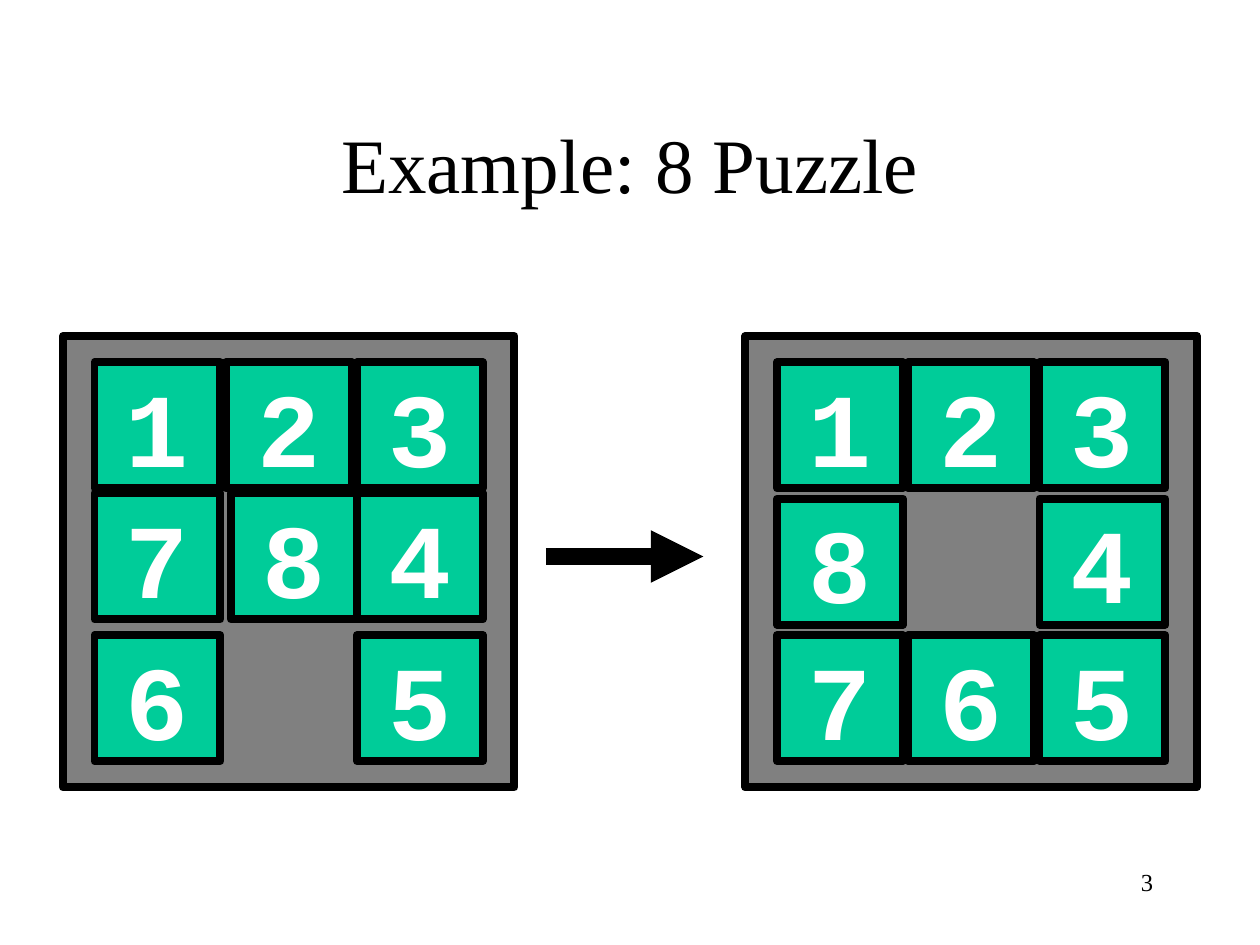
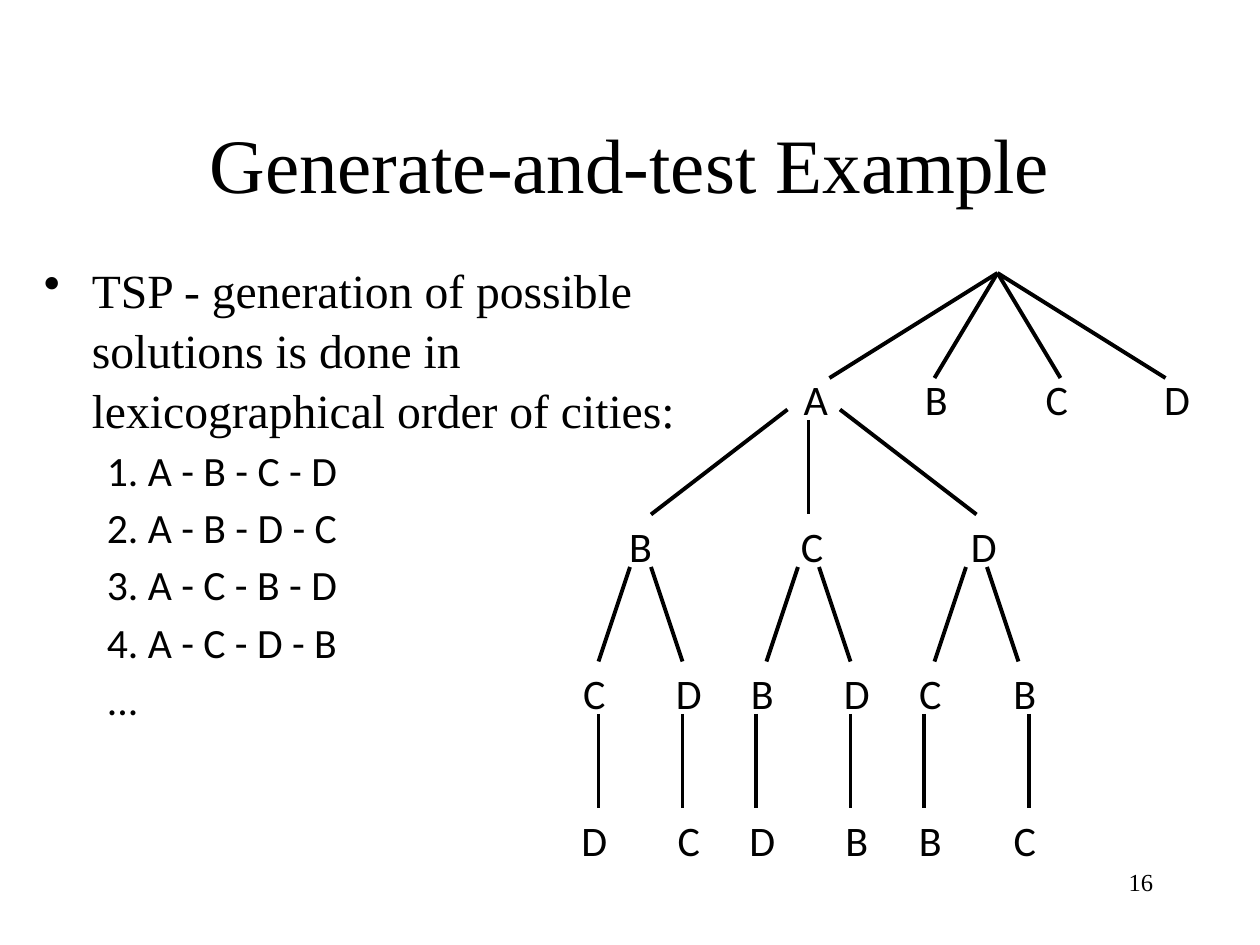
from itertools import product

from lxml.etree import SubElement
from pptx import Presentation
from pptx.dml.color import RGBColor
from pptx.enum.shapes import MSO_CONNECTOR, MSO_SHAPE
from pptx.enum.text import MSO_ANCHOR, PP_ALIGN
from pptx.oxml.ns import qn
from pptx.util import Emu, Inches, Pt

BLACK = RGBColor(0x00, 0x00, 0x00)
WHITE = RGBColor(0xFF, 0xFF, 0xFF)
GRAY = RGBColor(0x80, 0x80, 0x80)
GREEN = RGBColor(0x00, 0xCC, 0x99)
SERIF, SANS, MONO = "Times New Roman", "Calibri", "Courier New"
COLUMNS = 120
TILE_SIZE = 12
BOARD_SIZE = 43
TILE_COLUMNS = (9, 21.5, 34)


def write(para, text, font=SERIF, size=24, color=BLACK, bold=False,
          align=PP_ALIGN.LEFT, before=0, spacing=1.0, margin=0, hanging=0, bullet=None):
    """Fill a paragraph with text in the given format."""
    span = para.add_run()
    span.text = text
    span.font.name, span.font.size, span.font.bold = font, Pt(size), bold
    span.font.color.rgb = color
    para.alignment, para.space_before, para.line_spacing = align, Pt(before), spacing
    properties = para._p.get_or_add_pPr()
    properties.set("marL", str(int(margin)))
    properties.set("indent", str(int(-hanging)))
    if bullet:
        SubElement(properties, qn("a:buChar")).set("char", bullet)


class Slides:
    """Draw on the current slide in units of a grid of 120 columns by 90 rows."""

    def __init__(self, deck):
        self.deck = deck
        self.unit = deck.slide_width / COLUMNS
        self.page = None

    def cells(self, *counts):
        return [Emu(round(count * self.unit)) for count in counts]

    def start(self, title, number):
        self.page = self.deck.slides.add_slide(self.deck.slide_layouts[6])
        self.text(title, 9, 8, 102, 15, size=44, align=PP_ALIGN.CENTER,
                  anchor=MSO_ANCHOR.MIDDLE)
        self.text(str(number), 86, 82, 25, 6, size=14, align=PP_ALIGN.RIGHT)

    def frame(self, left, top, width, height, anchor=MSO_ANCHOR.TOP, wrap=True):
        box = self.page.shapes.add_textbox(*self.cells(left, top, width, height))
        frame = box.text_frame
        frame.word_wrap, frame.vertical_anchor = wrap, anchor
        return frame

    def text(self, text, left, top, width, height, anchor=MSO_ANCHOR.TOP, wrap=True, **style):
        frame = self.frame(left, top, width, height, anchor, wrap)
        write(frame.paragraphs[0], text, **style)

    def square(self, left, top, size, fill):
        shape = self.page.shapes.add_shape(
            MSO_SHAPE.RECTANGLE, *self.cells(left, top, size, size))
        shape.shadow.inherit = False
        shape.fill.solid()
        shape.fill.fore_color.rgb = fill
        shape.line.color.rgb, shape.line.width = BLACK, Pt(4.5)
        return shape

    def tile(self, digit, left, top):
        frame = self.square(left, top, TILE_SIZE, GREEN).text_frame
        frame.word_wrap, frame.vertical_anchor = False, MSO_ANCHOR.MIDDLE
        write(frame.paragraphs[0], digit, font=MONO, size=60, color=WHITE, bold=True,
              align=PP_ALIGN.CENTER)

    def board(self, left, rows, tops, nudges):
        self.square(left, 32, BOARD_SIZE, GRAY)
        for (row, top), (index, column) in product(zip(rows, tops), enumerate(TILE_COLUMNS)):
            digit = row[index]
            if digit != " ":
                self.tile(digit, left - 6 + column + nudges.get(digit, 0), top)

    def line(self, start, end, width=2.25, arrow=False):
        connector = self.page.shapes.add_connector(
            MSO_CONNECTOR.STRAIGHT, *self.cells(*start, *end))
        connector.line.color.rgb, connector.line.width = BLACK, Pt(width)
        properties = connector.element.spPr
        if arrow:
            SubElement(properties.find(qn("a:ln")), qn("a:tailEnd")).set("type", "triangle")
        SubElement(properties, qn("a:effectLst"))

    def nodes(self, letters, centers, top):
        for letter, center in zip(letters, centers):
            self.text(letter, center - 2.5, top, 5, 6, wrap=False, font=SANS,
                      align=PP_ALIGN.CENTER)


def draw_puzzle(slides):
    """Show the start and goal boards of the puzzle."""
    slides.start("Example: 8 Puzzle", 3)
    slides.board(6, ("123", "784", "6 5"), (34.5, 47, 60.5), {"8": 0.5})
    slides.line((52, 53), (67, 53), width=10, arrow=True)
    slides.board(71, ("123", "8 4", "765"), (34.5, 47.5, 60.5), {})


def draw_tours(slides):
    """List the first tours of the cities."""
    frame = slides.frame(3, 24, 63, 54)
    write(frame.paragraphs[0],
          "TSP - generation of possible solutions is done in lexicographical order of cities:",
          size=27.2, before=8, spacing=1.05, margin=Inches(0.38), hanging=Inches(0.38),
          bullet="•")
    for tour in ("1. A - B - C - D", "2. A - B - D - C", "3. A - C - B - D",
                 "4. A - C - D - B", "..."):
        write(frame.add_paragraph(), tour, font=SANS, size=23.8, before=7, spacing=0.9,
              margin=Inches(0.81), hanging=Inches(0.31))


def draw_tree(slides):
    """Draw the search tree of the tours that start in A."""
    pair_centers = [61 + 16 * index for index in range(3)]
    leaf_centers = [center + side for center in pair_centers for side in (-4.4, 4.6)]
    slides.nodes("ABCD", [77.7 + 11.47 * index for index in range(4)], 35)
    slides.nodes("BCD", [61 + 16.35 * index for index in range(3)], 49)
    slides.nodes("CDBDCB", leaf_centers, 63)
    slides.nodes("DCDBBC", leaf_centers, 77)
    for column in (79, 89, 101, 111):
        slides.line((95, 26), (column, 36))
    for start, end in (((75, 39), 62), ((77, 40), 77), ((80, 39), 93)):
        slides.line(start, (end, 49))
    for center, side in product(pair_centers, (-1, 1)):
        slides.line((center + side, 54), (center + 4 * side, 63))
    for column in (57, 65, 72, 81, 88, 98):
        slides.line((column, 68), (column, 77))


def main():
    """Build and save the deck."""
    deck = Presentation()
    deck.slide_width, deck.slide_height = Inches(10), Inches(7.5)
    slides = Slides(deck)
    draw_puzzle(slides)
    slides.start("Generate-and-test Example", 16)
    draw_tours(slides)
    draw_tree(slides)
    deck.save("out.pptx")


if __name__ == "__main__":
    main()
